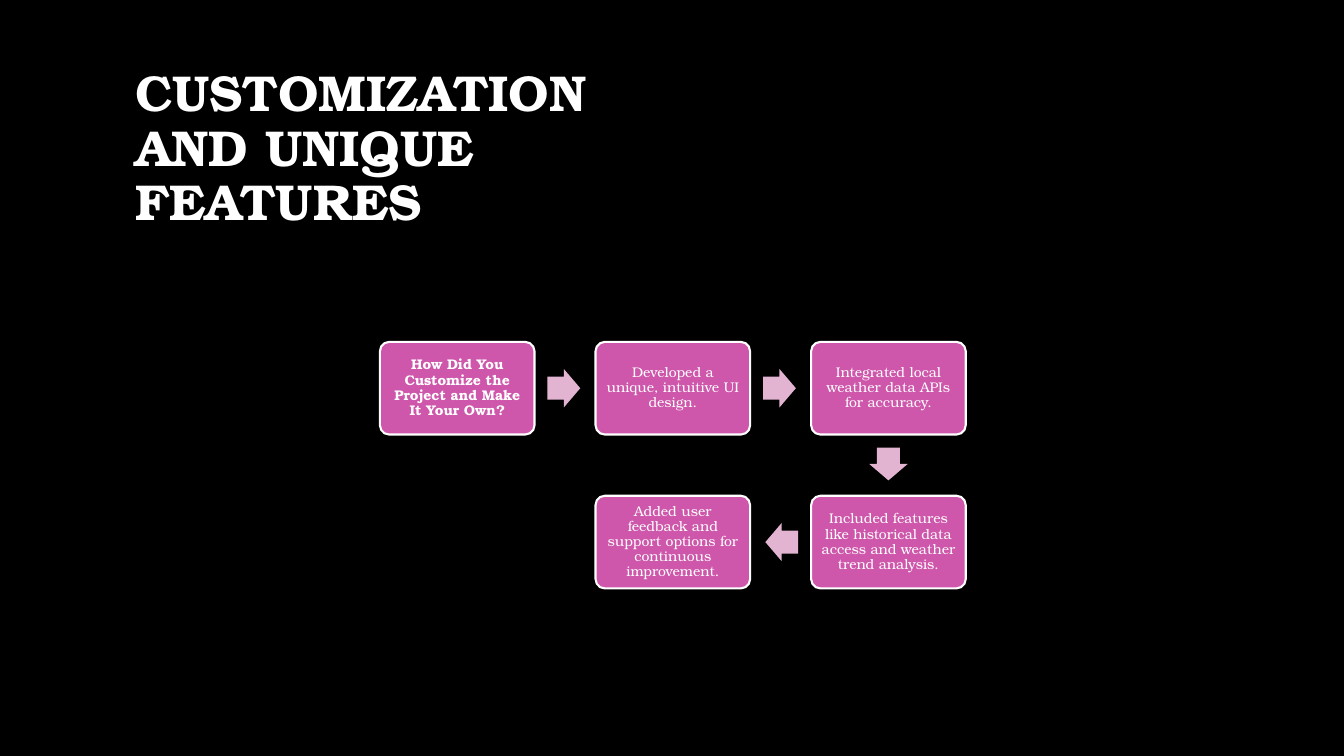
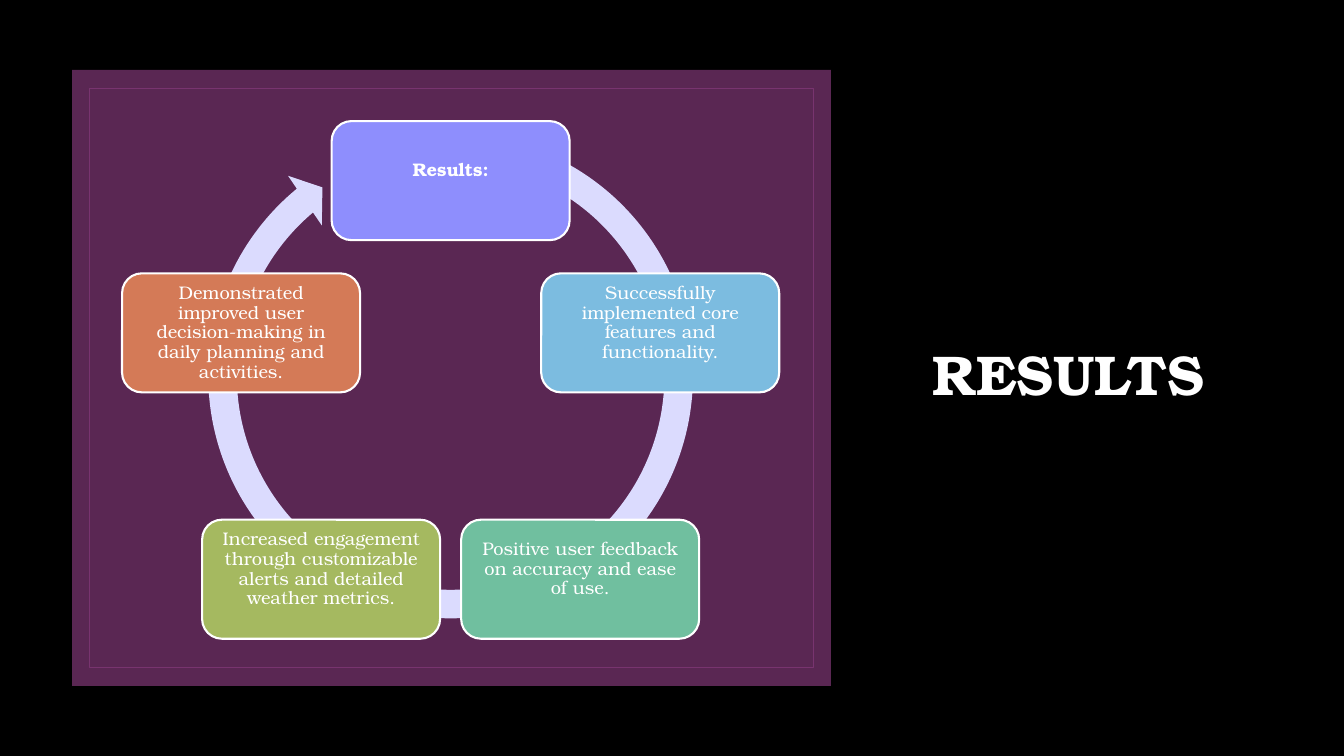
from math import cos, radians, sin

from pptx import Presentation
from pptx.dml.color import RGBColor
from pptx.enum.shapes import MSO_SHAPE
from pptx.enum.text import MSO_ANCHOR, MSO_AUTO_SIZE, PP_ALIGN
from pptx.util import Pt

FONT = "TeX Gyre Bonum"
BLACK = RGBColor(0x00, 0x00, 0x00)
WHITE = RGBColor(0xFF, 0xFF, 0xFF)
PINK = RGBColor(0xCE, 0x57, 0xAB)
PALE_PINK = RGBColor(0xE3, 0xB4, 0xD2)
PLUM = RGBColor(0x5A, 0x27, 0x53)
MAGENTA = RGBColor(0x78, 0x34, 0x6F)
LAVENDER = RGBColor(0xDB, 0xDB, 0xFE)
VIOLET = RGBColor(0x8E, 0x8E, 0xFD)
SKY = RGBColor(0x7C, 0xBC, 0xE0)
GREEN = RGBColor(0x70, 0xBF, 0x9F)
OLIVE = RGBColor(0xA5, 0xB9, 0x60)
ORANGE = RGBColor(0xD4, 0x7A, 0x57)

FLOW_TITLE = "CUSTOMIZATION AND UNIQUE FEATURES"
FLOW_STEPS = [
    ("How Did You Customize the Project and Make It Your Own?", 0, 0),
    ("Developed a unique, intuitive UI design.", 1, 0),
    ("Integrated local weather data APIs for accuracy.", 2, 0),
    ("Included features like historical data access and weather trend analysis.", 2, 1),
    ("Added user feedback and support options for continuous improvement.", 1, 1),
]
CYCLE_TITLE = "RESULTS"
CYCLE_STEPS = [
    ("Results:", VIOLET, 14),
    ("Successfully implemented core features and functionality.", SKY, 14),
    ("Positive user feedback on accuracy and ease of use.", GREEN, 14),
    ("Increased engagement through customizable alerts and detailed weather metrics.", OLIVE, 14),
    ("Demonstrated improved user decision-making in daily planning and activities.", ORANGE, 0),
]

FLOW_CENTER = (326.6, 277.3)
FLOW_PITCH = (154, 109.9)
FLOW_BOX = (110.4, 66.2)
FLOW_ARROW = (23.4, 27.4)
ARROW_SETBACK = 0.8
HEADINGS = {(1, 0): 0, (0, 1): 90, (-1, 0): 180}

CYCLE_CENTER = (321.9, 286.4)
CYCLE_RADIUS = 157.4
CYCLE_BOX = (170, 85)
RING_CENTER = (321.9, 268.6)
RING_SIZE = 368.6
RING_BAND = 20.4
RING_HEAD = 21.4
RING_ANGLES = (5.51, 230.29, 289.35)
ANGLE_UNIT = 0.6


def style_text(frame, text, size, bold, anchor, align):
    frame.text = text
    frame.word_wrap = True
    frame.auto_size = MSO_AUTO_SIZE.NONE
    frame.vertical_anchor = anchor
    para = frame.paragraphs[0]
    para.alignment = align
    para.line_spacing = 0.9
    para.space_before = Pt(0)
    para.font.name = FONT
    para.font.size = Pt(size)
    para.font.bold = bold
    para.font.color.rgb = WHITE


def add_page(deck, title, place, size, anchor, align):
    page = deck.slides.add_slide(deck.slide_layouts[5])
    box = page.shapes.title
    box.left, box.top, box.width, box.height = map(Pt, place)
    style_text(box.text_frame, title, size, True, anchor, align)
    return page


def add_figure(page, kind, center, size, fill=None, line=None, weight=1.5):
    (x, y), (width, height) = center, size
    figure = page.shapes.add_shape(
        kind, Pt(x - width / 2), Pt(y - height / 2), Pt(width), Pt(height))
    figure.shadow.inherit = False
    if fill is None:
        figure.fill.background()
    else:
        figure.fill.solid()
        figure.fill.fore_color.rgb = fill
    if line is None:
        figure.line.fill.background()
    else:
        figure.line.color.rgb = line
        figure.line.width = Pt(weight)
    return figure


def add_step(page, text, center, size, fill, font_size, bold, inset, lift=0):
    box = add_figure(page, MSO_SHAPE.ROUNDED_RECTANGLE, center, size, fill, WHITE)
    frame = box.text_frame
    style_text(frame, text, font_size, bold, MSO_ANCHOR.MIDDLE, PP_ALIGN.CENTER)
    frame.margin_left = frame.margin_right = frame.margin_top = Pt(inset)
    frame.margin_bottom = Pt(inset + lift)
    return box


def flow_center(column, row):
    return (FLOW_CENTER[0] + column * FLOW_PITCH[0],
            FLOW_CENTER[1] + row * FLOW_PITCH[1])


def build_flow(deck):
    page = add_page(deck, FLOW_TITLE, (89.3, 39.6, 419, 129.6), 36,
                    MSO_ANCHOR.BOTTOM, PP_ALIGN.LEFT)
    for index, (text, column, row) in enumerate(FLOW_STEPS):
        box = add_step(page, text, flow_center(column, row), FLOW_BOX,
                       PINK, 10, index == 0, 5)
        box.adjustments[0] = 0.1
    for (_, *start), (_, *end) in zip(FLOW_STEPS, FLOW_STEPS[1:]):
        heading = (end[0] - start[0], end[1] - start[1])
        middle = [(a + b) / 2 - ARROW_SETBACK * step for a, b, step in
                  zip(flow_center(*start), flow_center(*end), heading)]
        arrow = add_figure(page, MSO_SHAPE.RIGHT_ARROW, middle, FLOW_ARROW, PALE_PINK)
        arrow.adjustments[0] = 0.6
        arrow.adjustments[1] = 0.5
        arrow.rotation = HEADINGS[heading]


def build_cycle(deck):
    page = add_page(deck, CYCLE_TITLE, (620, 49.7, 286.6, 439.9), 40,
                    MSO_ANCHOR.MIDDLE, PP_ALIGN.CENTER)
    add_figure(page, MSO_SHAPE.RECTANGLE, (322.5, 270), (542, 440), PLUM)
    add_figure(page, MSO_SHAPE.RECTANGLE, (322.6, 270), (517, 414), None, MAGENTA, 1)
    ring = add_figure(page, MSO_SHAPE.CIRCULAR_ARROW, RING_CENTER,
                      (RING_SIZE, RING_SIZE), LAVENDER)
    settings = [RING_BAND / RING_SIZE, *(angle * ANGLE_UNIT for angle in RING_ANGLES),
                RING_HEAD / RING_SIZE]
    for index, value in enumerate(settings):
        ring.adjustments[index] = value
    for index, (text, fill, lift) in enumerate(CYCLE_STEPS):
        angle = radians(index * 360 / len(CYCLE_STEPS))
        center = (CYCLE_CENTER[0] + CYCLE_RADIUS * sin(angle),
                  CYCLE_CENTER[1] - CYCLE_RADIUS * cos(angle))
        add_step(page, text, center, CYCLE_BOX, fill, 13, index == 0, 8, lift)


def main():
    deck = Presentation()
    deck.slide_width, deck.slide_height = Pt(960), Pt(540)
    backdrop = deck.slide_master.background.fill
    backdrop.solid()
    backdrop.fore_color.rgb = BLACK
    build_flow(deck)
    build_cycle(deck)
    deck.save("out.pptx")


if __name__ == "__main__":
    main()
